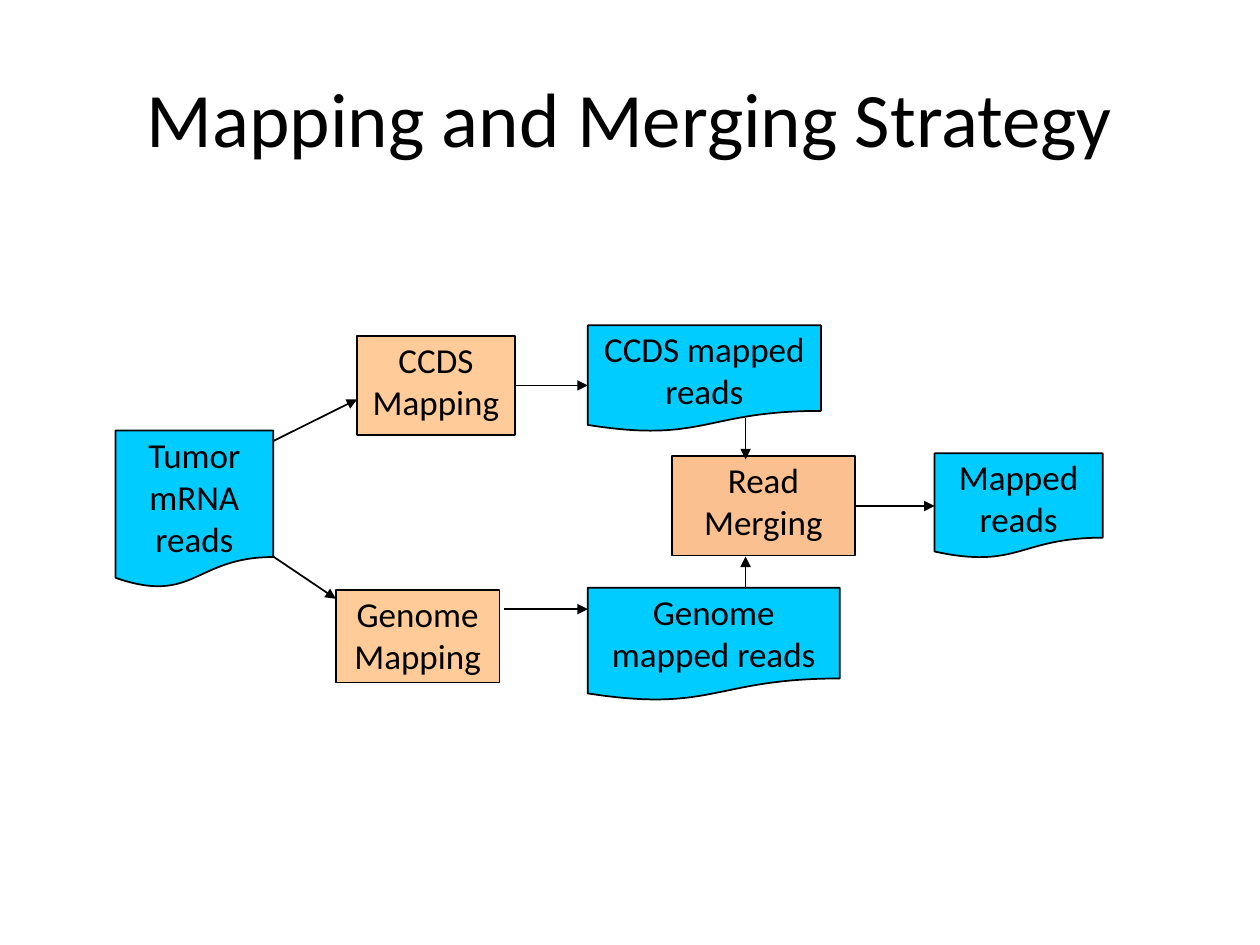
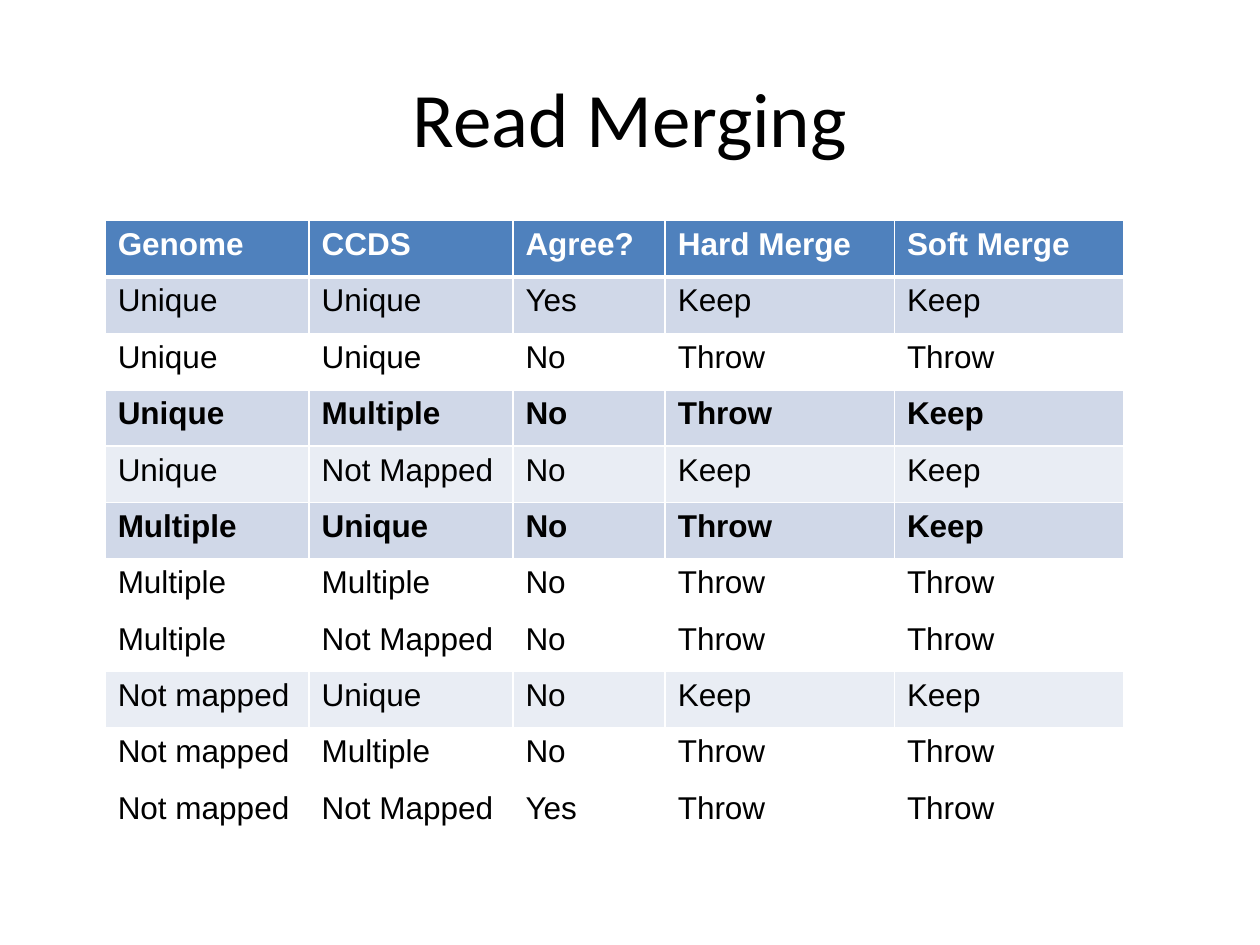
import pptx
import pptx.dml.color
import pptx.enum.shapes
import pptx.enum.text
import pptx.oxml
import pptx.oxml.ns
import pptx.util

Cm = pptx.util.Cm
Pt = pptx.util.Pt
RGBColor = pptx.dml.color.RGBColor
SHAPE = pptx.enum.shapes.MSO_SHAPE
ALIGN = pptx.enum.text.PP_ALIGN
ANCHOR = pptx.enum.text.MSO_ANCHOR

BLACK = RGBColor(0x00, 0x00, 0x00)
WHITE = RGBColor(0xFF, 0xFF, 0xFF)
READS_CYAN = RGBColor(0x00, 0xCC, 0xFF)
MAPPING_PEACH = RGBColor(0xFF, 0xCC, 0x99)
MERGING_ORANGE = RGBColor(0xFA, 0xC0, 0x90)
HEADER_BLUE = RGBColor(0x4F, 0x81, 0xBD)
STRONG_BLUE = RGBColor(0xD0, 0xD8, 0xE8)
PALE_BLUE = RGBColor(0xE9, 0xED, 0xF4)

DIAGRAM_FONT = "Calibri"
TABLE_FONT = "Arial"
TOP, LEFT, BOTTOM, RIGHT = range(4)

HEADINGS = ["Genome", "CCDS", "Agree?", "Hard Merge", "Soft Merge"]
COLUMN_WIDTHS = [4.11, 4.11, 3.07, 4.62, 4.62]
TABLE_HEIGHT = 12.5
OUTCOMES = [
    ["Unique", "Unique", "Yes", "Keep", "Keep"],
    ["Unique", "Unique", "No", "Throw", "Throw"],
    ["Unique", "Multiple", "No", "Throw", "Keep"],
    ["Unique", "Not Mapped", "No", "Keep", "Keep"],
    ["Multiple", "Unique", "No", "Throw", "Keep"],
    ["Multiple", "Multiple", "No", "Throw", "Throw"],
    ["Multiple", "Not Mapped", "No", "Throw", "Throw"],
    ["Not mapped", "Unique", "No", "Keep", "Keep"],
    ["Not mapped", "Multiple", "No", "Throw", "Throw"],
    ["Not mapped", "Not Mapped", "Yes", "Throw", "Throw"],
]


def write(frame, text, font=DIAGRAM_FONT, size=20, color=BLACK, bold=False,
          align=ALIGN.CENTER, space_after=0):
    frame.word_wrap = True
    lines = text.split("\n")
    for index, line in enumerate(lines):
        paragraph = frame.paragraphs[0] if index == 0 else frame.add_paragraph()
        paragraph.alignment = align
        run = paragraph.add_run()
        run.text = line
        run.font.name = font
        run.font.size = Pt(size)
        run.font.color.rgb = color
        run.font.bold = bold
    paragraph.space_after = Pt(space_after)


def add_titled_slide(deck, title):
    slide = deck.slides.add_slide(deck.slide_layouts[6])
    heading = slide.shapes.add_textbox(Cm(1.27), Cm(0.76), Cm(22.86), Cm(3.18))
    heading.text_frame.vertical_anchor = ANCHOR.MIDDLE
    write(heading.text_frame, title, size=44)
    return slide


def add_step(slide, text, left, top, width, height, fill=READS_CYAN,
             outline=SHAPE.FLOWCHART_DOCUMENT):
    step = slide.shapes.add_shape(outline, Cm(left), Cm(top), Cm(width), Cm(height))
    step.shadow.inherit = False
    step.fill.solid()
    step.fill.fore_color.rgb = fill
    step.line.color.rgb = BLACK
    step.line.width = Pt(1)
    frame = step.text_frame
    frame.vertical_anchor = ANCHOR.TOP
    frame.margin_left = frame.margin_right = Cm(0.1)
    frame.margin_top = frame.margin_bottom = Cm(0.05)
    write(frame, text, space_after=10)
    return step


def add_process(slide, text, left, top, width, height, fill=MAPPING_PEACH):
    return add_step(slide, text, left, top, width, height, fill,
                    SHAPE.FLOWCHART_PROCESS)


def add_arrow(slide, start, end, source=None, target=None):
    arrow = slide.shapes.add_connector(
        pptx.enum.shapes.MSO_CONNECTOR.STRAIGHT, *map(Cm, start + end))
    if source:
        arrow.begin_connect(source, RIGHT)
    if target:
        arrow.end_connect(target, LEFT)
    arrow.line.color.rgb = BLACK
    arrow.line.width = Pt(1)
    line = arrow.line._get_or_add_ln()
    line.append(pptx.oxml.parse_xml(
        f'<a:tailEnd {pptx.oxml.ns.nsdecls("a")} type="triangle"/>'))
    arrow._element.spPr.append(pptx.oxml.parse_xml(
        f'<a:effectLst {pptx.oxml.ns.nsdecls("a")}/>'))


def set_borders(cell, bottom_width):
    properties = cell._tc.get_or_add_tcPr()
    widths = {"lnL": 1, "lnR": 1, "lnT": 1, "lnB": bottom_width}
    for position, (side, width) in enumerate(widths.items()):
        properties.insert(position, pptx.oxml.parse_xml(
            f'<a:{side} {pptx.oxml.ns.nsdecls("a")} w="{Pt(width)}">'
            f'<a:solidFill><a:srgbClr val="{WHITE}"/></a:solidFill></a:{side}>'))


def fill_row(table, row, values, fill, color=BLACK, bold=False, bottom_width=1):
    for column, value in enumerate(values):
        cell = table.cell(row, column)
        cell.fill.solid()
        cell.fill.fore_color.rgb = fill
        set_borders(cell, bottom_width)
        write(cell.text_frame, value, font=TABLE_FONT, size=18, color=color,
              bold=bold, align=ALIGN.LEFT)


def outcome_fill(agree, hard, soft):
    if soft == "Throw":
        return WHITE
    return STRONG_BLUE if agree == "Yes" or hard != soft else PALE_BLUE


def add_outcome_table(slide):
    row_count = len(OUTCOMES) + 1
    table = slide.shapes.add_table(
        row_count, len(HEADINGS), Cm(2.12), Cm(4.45),
        Cm(sum(COLUMN_WIDTHS)), Cm(TABLE_HEIGHT)).table
    table.horz_banding = False
    for column, width in zip(table.columns, COLUMN_WIDTHS):
        column.width = Cm(width)
    for row in table.rows:
        row.height = Cm(TABLE_HEIGHT / row_count)
    fill_row(table, 0, HEADINGS, HEADER_BLUE, color=WHITE, bold=True, bottom_width=3)
    for row, outcome in enumerate(OUTCOMES, start=1):
        agree, hard, soft = outcome[2:]
        fill_row(table, row, outcome, outcome_fill(agree, hard, soft),
                 bold=hard != soft)


def add_strategy_diagram(slide):
    add_step(slide, "Tumor mRNA reads", 2.33, 8.68, 3.18, 3.18)
    ccds_mapping = add_process(slide, "CCDS\nMapping", 7.2, 6.77, 3.18, 2)
    add_process(slide, "Genome Mapping", 6.77, 11.9, 3.3, 1.86)
    read_merging = add_process(slide, "Read Merging", 13.55, 9.2, 3.68, 2,
                               MERGING_ORANGE)
    add_step(slide, "CCDS mapped reads", 11.85, 6.56, 4.7, 2.15)
    add_step(slide, "Genome mapped reads", 11.85, 11.85, 5.08, 2.28)
    mapped_reads = add_step(slide, "Mapped reads", 18.84, 9.14, 3.39, 2.12)

    add_arrow(slide, (5.51, 8.89), (7.2, 8.05))
    add_arrow(slide, (5.51, 11.22), (6.77, 12.07))
    add_arrow(slide, (10.38, 7.77), (11.85, 7.77), source=ccds_mapping)
    add_arrow(slide, (10.16, 12.28), (11.85, 12.28))
    add_arrow(slide, (15.03, 11.88), (15.03, 11.22))
    add_arrow(slide, (15.03, 8.43), (15.03, 9.26))
    add_arrow(slide, (17.23, 10.2), (18.84, 10.2), read_merging, mapped_reads)


def main():
    deck = pptx.Presentation()
    deck.slide_width = Cm(25.4)
    deck.slide_height = Cm(19.05)
    add_strategy_diagram(add_titled_slide(deck, "Mapping and Merging Strategy"))
    add_outcome_table(add_titled_slide(deck, "Read Merging"))
    deck.save("out.pptx")


if __name__ == "__main__":
    main()
